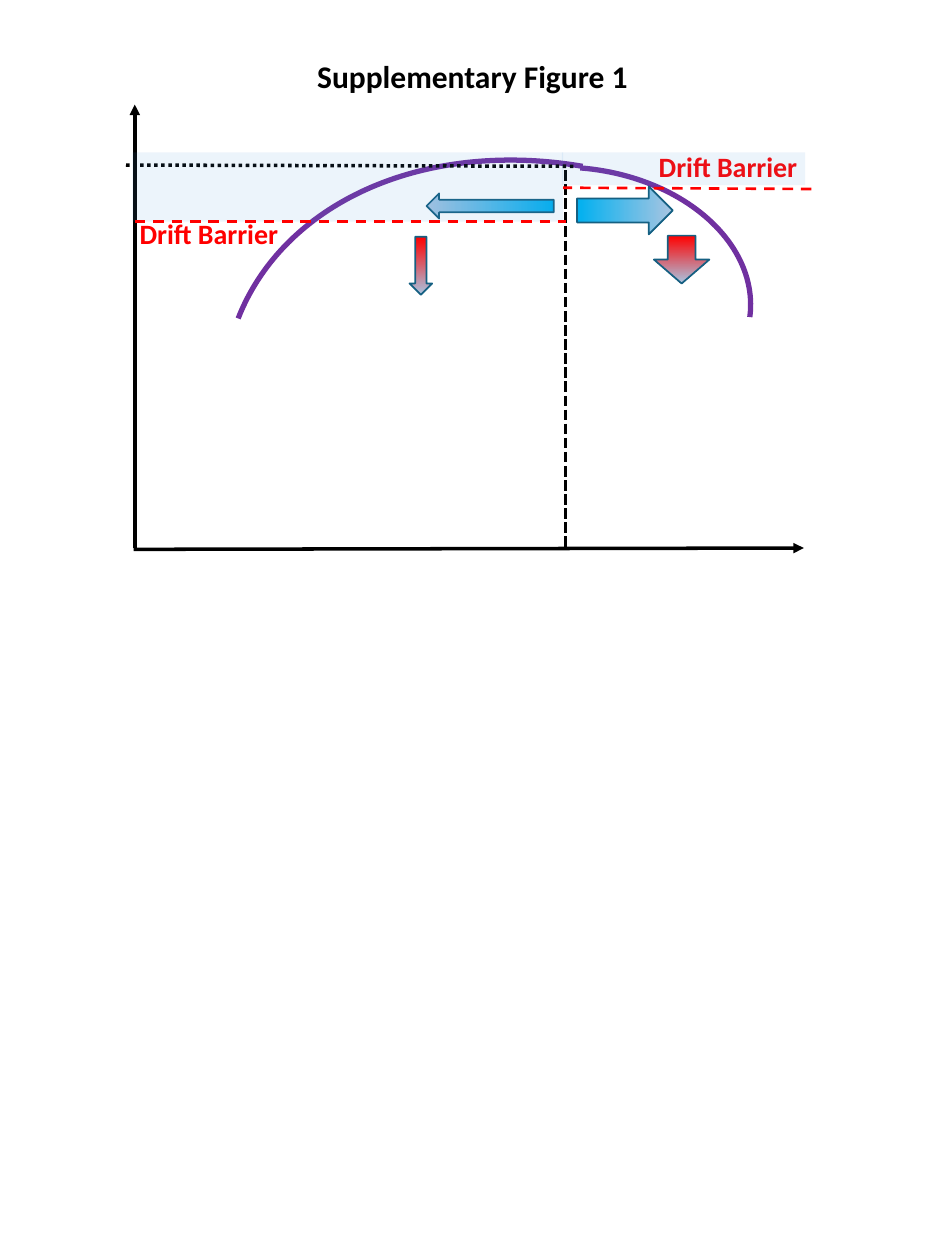
"""Build a slide of a fitness curve with drift barriers on both sides of its optimum."""
import pptx
import pptx.dml.color
import pptx.enum.dml
import pptx.enum.shapes
import pptx.enum.text
import pptx.util
from lxml import etree
from pptx.oxml.ns import qn

Inches, Pt = pptx.util.Inches, pptx.util.Pt
SHAPE = pptx.enum.shapes.MSO_SHAPE
DASH = pptx.enum.dml.MSO_LINE
ALIGN = pptx.enum.text.PP_ALIGN

BLACK, RED, BLUE, PALE = "000000", "FF0000", "00B0F0", "A9C5E1"
PURPLE, OUTLINE, BAND = "7030A0", "156082", "4E95D9"

LEFT_CURVE = ((2.33, 0.73, 4.39, 5.66), 291.4, (162, 204.68))
RIGHT_CURVE = ((3.09, 1.33, 2.87, 2.07), 4.5, (162, 0.95))
GUIDES = [
    ((1.06, 4.36), (6.38, 4.35), BLACK, 2, None, True),
    ((1.07, 4.35), (1.07, 0.83), BLACK, 2, None, True),
    ((1, 1.31), (4.55, 1.32), BLACK, 2, DASH.ROUND_DOT, False),
    ((4.49, 1.35), (4.49, 4.35), BLACK, 2, DASH.SQUARE_DOT, False),
]
LEFT_BARRIER = ((1.07, 1.76), (4.49, 1.76), RED, 1.5, DASH.DASH, False)
RIGHT_BARRIER = ((6.44, 1.5), (4.47, 1.49), RED, 1.5, DASH.DASH, False)
RIGHT_DROP = ((5.19, 1.87, 0.44, 0.38), 0, RED)
OTHER_ARROWS = [
    ((3.25, 1.88, 0.18, 0.46), 0, RED),
    ((4.77, 1.29, 0.38, 0.76), 270, BLUE),
    ((3.79, 1.13, 0.2, 1.01), 90, BLUE),
]
TITLE = ("Supplementary Figure 1", (1.74, 0.4, 4.02, 0.4), 18, BLACK, ALIGN.CENTER)
RIGHT_LABEL = ("Drift Barrier", (5.13, 1.14, 2.14, 0.37), 16, RED, ALIGN.LEFT)
LEFT_LABEL = ("Drift Barrier", (1.01, 1.67, 2.65, 0.37), 16, RED, ALIGN.LEFT)
BANDS = [(4.46, 1.21, 1.93, 0.26), (1.05, 1.21, 3.42, 0.55)]


def rgb(color):
    """Turn a hex string into a colour."""
    return pptx.dml.color.RGBColor.from_string(color)


def add_shape(s, kind, box, rotation=0):
    """Add a shape without shadow."""
    sp = s.shapes.add_shape(kind, *map(Inches, box))
    sp.shadow.inherit = False
    sp.rotation = rotation
    return sp


def set_line(line, color, width):
    """Set the colour and width of a line."""
    line.color.rgb = rgb(color)
    line.width = Pt(width)


def add_curve(s, box, rotation, angles):
    """Add one arc of the curve."""
    sp = add_shape(s, SHAPE.ARC, box, rotation)
    sp.adjustments[0], sp.adjustments[1] = angles
    sp.fill.background()
    set_line(sp.line, PURPLE, 3)


def add_line(s, start, end, color, width, dash, arrow):
    """Add a straight line, with an arrowhead at its end if asked."""
    c = s.shapes.add_connector(pptx.enum.shapes.MSO_CONNECTOR.STRAIGHT,
                               *map(Inches, start + end))
    set_line(c.line, color, width)
    if dash:
        c.line.dash_style = dash
    if arrow:
        etree.SubElement(c.line._get_or_add_ln(), qn("a:tailEnd"), type="triangle")
    etree.SubElement(c._element.spPr, qn("a:effectLst"))


def add_arrow(s, box, rotation, color):
    """Add a block arrow that fades towards its head."""
    sp = add_shape(s, SHAPE.DOWN_ARROW, box, rotation)
    sp.fill.gradient()
    sp.fill.gradient_angle = 270
    for stop, shade in zip(sp.fill.gradient_stops, (color, PALE)):
        stop.color.rgb = rgb(shade)
    set_line(sp.line, OUTLINE, 1)


def add_text(s, text, box, size, color, align):
    """Add a bold line of text."""
    tf = s.shapes.add_textbox(*map(Inches, box)).text_frame
    tf.word_wrap = True
    tf.auto_size = pptx.enum.text.MSO_AUTO_SIZE.SHAPE_TO_FIT_TEXT
    tf.text = text
    p = tf.paragraphs[0]
    p.alignment = align
    font = p.runs[0].font
    font.name, font.size, font.bold = "Calibri", Pt(size), True
    font.color.rgb = rgb(color)


def add_band(s, box):
    """Add a shaded band that is 10 percent opaque."""
    sp = add_shape(s, SHAPE.RECTANGLE, box)
    sp.fill.solid()
    sp.fill.fore_color.rgb = rgb(BAND)
    clr = sp._element.spPr.find(qn("a:solidFill")).find(qn("a:srgbClr"))
    etree.SubElement(clr, qn("a:alpha"), val="10000")
    sp.line.fill.background()


def main():
    """Draw everything from back to front and save."""
    prs = pptx.Presentation()
    prs.slide_width, prs.slide_height = Inches(7.5), Inches(10)
    s = prs.slides.add_slide(prs.slide_layouts[6])
    add_curve(s, *LEFT_CURVE)
    for guide in GUIDES:
        add_line(s, *guide)
    add_arrow(s, *RIGHT_DROP)
    add_curve(s, *RIGHT_CURVE)
    for arrow in OTHER_ARROWS:
        add_arrow(s, *arrow)
    add_text(s, *TITLE)
    add_text(s, *RIGHT_LABEL)
    for band in BANDS:
        add_band(s, band)
    add_line(s, *LEFT_BARRIER)
    add_text(s, *LEFT_LABEL)
    add_line(s, *RIGHT_BARRIER)
    prs.save("out.pptx")


if __name__ == "__main__":
    main()
